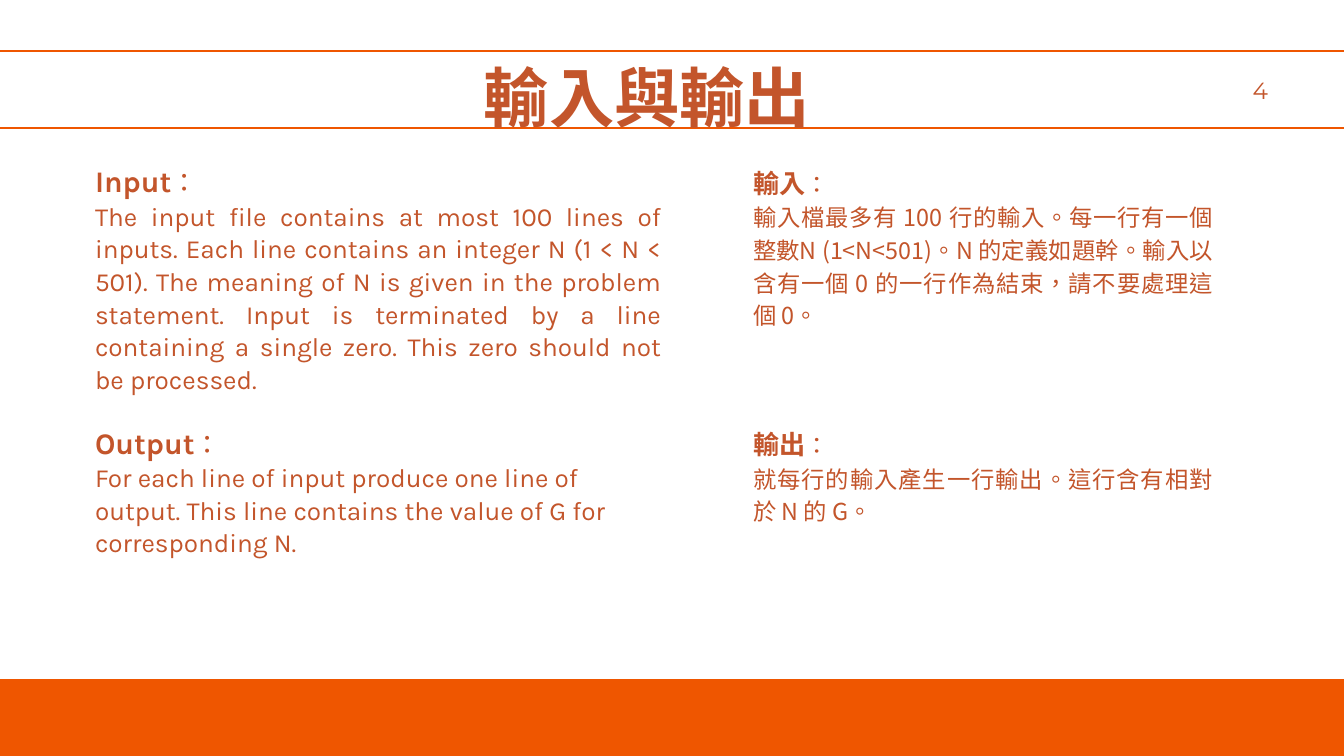
from pptx import Presentation
from pptx.dml.color import RGBColor
from pptx.enum.lang import MSO_LANGUAGE_ID
from pptx.enum.shapes import MSO_SHAPE
from pptx.enum.text import PP_ALIGN
from pptx.oxml.ns import qn
from pptx.util import Emu, Pt

RECTANGLE = MSO_SHAPE.RECTANGLE
LEFT, CENTER = PP_ALIGN.LEFT, PP_ALIGN.CENTER
RIGHT, JUSTIFY = PP_ALIGN.RIGHT, PP_ALIGN.JUSTIFY
CHINESE = MSO_LANGUAGE_ID.TRADITIONAL_CHINESE

EMU_PER_PX = 914400 / 67.2
COLORS = {"orange": "EF5600", "rust": "C3552B"}
KARLA, NOTO, MONTSERRAT = "Karla", "Noto Sans CJK SC", "Montserrat"
LINE_PT = 35


def px(length):
    """Turn whole pixels into EMU."""
    return Emu(round(length * EMU_PER_PX))


def color(name):
    """Look up a colour by name."""
    return RGBColor.from_string(COLORS[name])


def add_run(paragraph, text, font=KARLA, size=28, bold=False):
    """Append formatted text to a paragraph."""
    run = paragraph.add_run()
    run.text = text
    run.font.name, run.font.size, run.font.bold = font, Pt(size), bold
    run.font.color.rgb = color("rust")
    if not text.isascii():
        run.font.language_id = CHINESE
    east_asian = run.font._element.makeelement(qn("a:ea"), {"typeface": font})
    run.font._element.find(qn("a:latin")).addnext(east_asian)


class SlideBuilder:
    """Holds the style and the current slide."""

    def __init__(self, slide):
        """Keep the slide to draw on."""
        self.slide = slide

    def band(self, x, y, width, height, fill=None, line=None):
        """Draw a rectangle with an optional fill and outline."""
        band = self.slide.shapes.add_shape(
            RECTANGLE, px(x), px(y), px(width), px(height))
        band.shadow.inherit = False
        if fill:
            band.fill.solid()
            band.fill.fore_color.rgb = color(fill)
        else:
            band.fill.background()
        if line:
            band.line.color.rgb = color(line)
            band.line.width = Pt(2.25)
        else:
            band.line.fill.background()

    def text_frame(self, x, y, width, height):
        """Add a wrapping text box without margins."""
        frame = self.slide.shapes.add_textbox(
            px(x), px(y), px(width), px(height)).text_frame
        frame.word_wrap = True
        frame.margin_left = frame.margin_right = 0
        frame.margin_top = frame.margin_bottom = 0
        return frame

    def paragraph(self, frame, align, spacing=LINE_PT, before=0):
        """Return the empty first paragraph, or a new one, laid out."""
        first = frame.paragraphs[0]
        paragraph = frame.add_paragraph() if first.runs else first
        paragraph.alignment = align
        paragraph.line_spacing = Pt(spacing)
        paragraph.space_before = Pt(before)
        return paragraph

    def label(self, box, text, align, spacing=LINE_PT, **style):
        """Add a single line of text."""
        paragraph = self.paragraph(self.text_frame(*box), align, spacing)
        add_run(paragraph, text, **style)

    def column(self, box, sections, font, heading_size, body_size):
        """Add a column of headed sections."""
        frame = self.text_frame(*box)
        for heading, body, align, gap_lines in sections:
            title = self.paragraph(frame, align, before=gap_lines * LINE_PT)
            add_run(title, heading, font=font, size=heading_size, bold=True)
            add_run(title, "：", font=font, size=body_size)
            add_run(self.paragraph(frame, align), body, font=font, size=body_size)


ENGLISH_SECTIONS = [
    ("Input",
     "The input file contains at most 100 lines of inputs. Each line contains "
     "an integer N (1 < N < 501). The meaning of N is given in the problem "
     "statement. Input is terminated by a line containing a single zero. "
     "This zero should not be processed.", JUSTIFY, 0),
    ("Output",
     "For each line of input produce one line of output. This line contains "
     "the value of G for corresponding N.", LEFT, 1),
]
CHINESE_SECTIONS = [
    ("輸入",
     "輸入檔最多有 100 行的輸入。每一行有一個整數N (1<N<501)。N 的定義如題幹。"
     "輸入以含有一個 0 的一行作為結束，請不要處理這個 0。", JUSTIFY, 0),
    ("輸出", "就每行的輸入產生一行輸出。這行含有相對於 N 的 G。", JUSTIFY, 3),
]


def main():
    """Build the slide and save it."""
    deck = Presentation()
    deck.slide_width, deck.slide_height = px(1344), px(756)
    page = SlideBuilder(deck.slides.add_slide(deck.slide_layouts[6]))

    page.band(-118, 51, 1530, 77, line="orange")
    page.label((462, 44, 370, 85), "輸入與輸出", CENTER, spacing=98,
               font=NOTO, size=70, bold=True)
    page.column((95, 166, 566, 393), ENGLISH_SECTIONS, KARLA, 32, 28)
    page.column((753, 166, 460, 360), CHINESE_SECTIONS, NOTO, 28, 25)
    page.label((1200, 71, 68, 31), "4", RIGHT, font=MONTSERRAT, size=25)
    page.band(-69, 679, 1530, 126, fill="orange")

    deck.save("out.pptx")


main()
